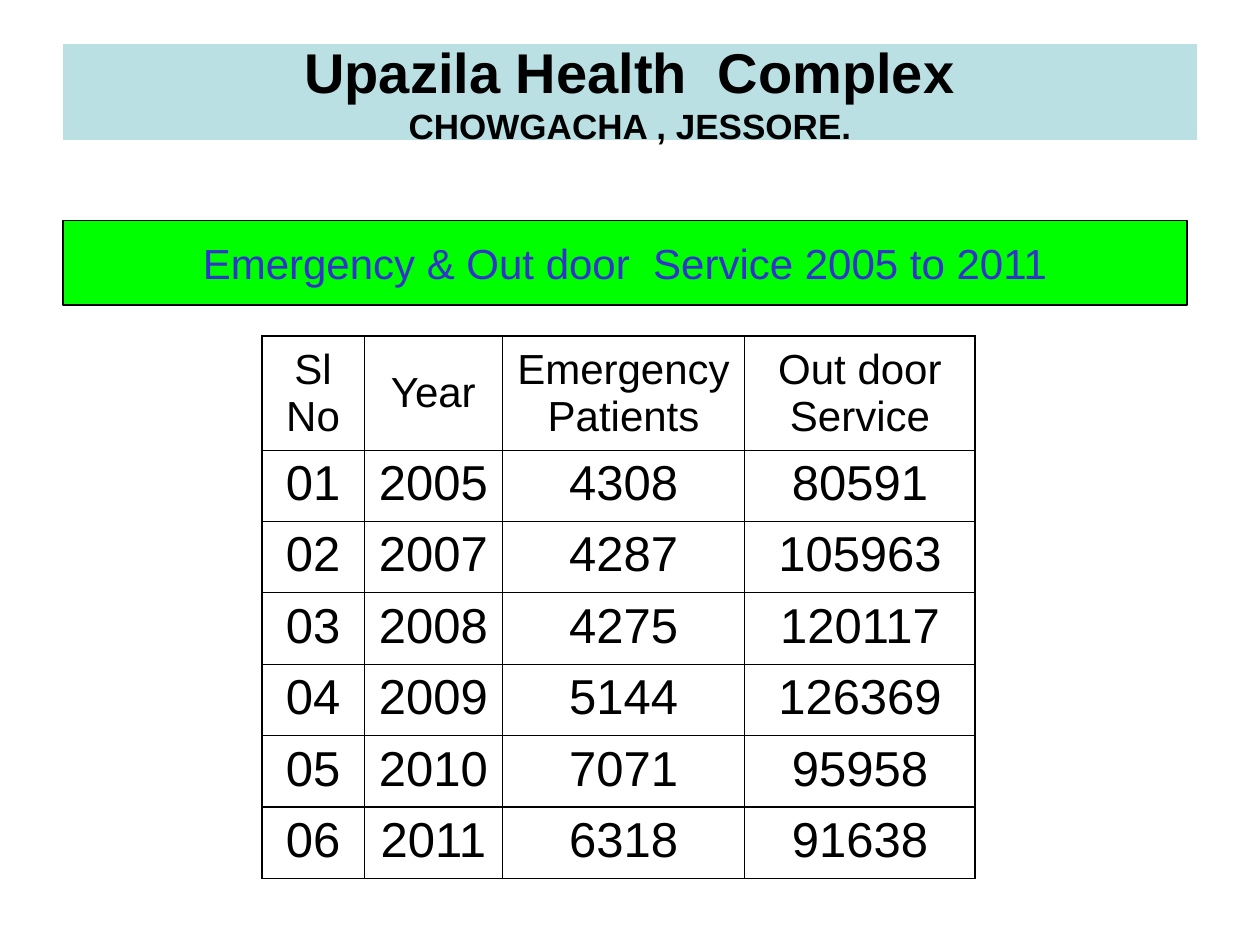
import copy
from dataclasses import dataclass

import lxml.etree
import pptx
import pptx.dml.color
import pptx.enum.shapes
import pptx.enum.text
import pptx.oxml.ns
import pptx.util
from pptx.util import Cm


@dataclass(frozen=True)
class Theme:
    font: str = "Arial"
    ink: str = "000000"
    heading_fill: str = "BBE0E3"
    banner_fill: str = "00FF00"
    banner_ink: str = "3333CC"
    heading_size: int = 32
    place_size: int = 20
    label_size: int = 24
    figure_size: int = 28
    banner_line: float = 0.75
    thin: float = 0.45
    thick: float = 1.08


@dataclass(frozen=True)
class Box:
    left: float
    top: float
    width: float
    height: float

    def lengths(self) -> tuple:
        return Cm(self.left), Cm(self.top), Cm(self.width), Cm(self.height)


@dataclass(frozen=True)
class YearRecord:
    year: int
    emergency: int
    outdoor: int


THEME = Theme()
HEADING = Box(1.27, 0.89, 22.86, 1.93)
BANNER = Box(1.27, 4.45, 22.66, 1.7)
COLUMN_WIDTHS = (2.06, 2.79, 4.88, 4.65)
LABEL_HEIGHT, RECORD_HEIGHT = 2.29, 1.44
FIRST_THICK_RULE = 5
LABELS = ("Sl No", "Year", "Emergency Patients", "Out door Service")
RECORDS = (
    YearRecord(2005, 4308, 80591),
    YearRecord(2007, 4287, 105963),
    YearRecord(2008, 4275, 120117),
    YearRecord(2009, 5144, 126369),
    YearRecord(2010, 7071, 95958),
    YearRecord(2011, 6318, 91638),
)


def rgb(color: str) -> pptx.dml.color.RGBColor:
    return pptx.dml.color.RGBColor.from_string(color)


def style_text(frame, size: float, color: str, bold: bool = False) -> None:
    for paragraph in frame.paragraphs:
        paragraph.alignment = pptx.enum.text.PP_ALIGN.CENTER
        for run in paragraph.runs:
            run.font.name = THEME.font
            run.font.size = pptx.util.Pt(size)
            run.font.bold = bold
            run.font.color.rgb = rgb(color)


def fill_solid(shape, color: str) -> None:
    shape.fill.solid()
    shape.fill.fore_color.rgb = rgb(color)


def draw_heading(slide) -> None:
    heading = slide.shapes.title
    heading.left, heading.top, heading.width, heading.height = HEADING.lengths()
    fill_solid(heading, THEME.heading_fill)
    frame = heading.text_frame
    frame.text = "Upazila Health  Complex\vCHOWGACHA , JESSORE."
    frame.auto_size = pptx.enum.text.MSO_AUTO_SIZE.NONE
    frame.vertical_anchor = pptx.enum.text.MSO_ANCHOR.MIDDLE
    style_text(frame, THEME.heading_size, THEME.ink, bold=True)
    name, place = frame.paragraphs[0].runs
    place.font.size = pptx.util.Pt(THEME.place_size)
    line_break = name._r.getnext()
    line_break.append(copy.deepcopy(name._r.rPr))


def draw_banner(slide) -> None:
    banner = slide.shapes.add_shape(
        pptx.enum.shapes.MSO_SHAPE.RECTANGLE, *BANNER.lengths()
    )
    banner.shadow.inherit = False
    fill_solid(banner, THEME.banner_fill)
    banner.line.color.rgb = rgb(THEME.ink)
    banner.line.width = pptx.util.Pt(THEME.banner_line)
    frame = banner.text_frame
    frame.text = "Emergency & Out door  Service 2005 to 2011"
    frame.word_wrap = True
    frame.vertical_anchor = pptx.enum.text.MSO_ANCHOR.MIDDLE
    style_text(frame, THEME.label_size, THEME.banner_ink)


def add_border(cell, side: str, weight: float) -> None:
    qn = pptx.oxml.ns.qn
    border = lxml.etree.SubElement(
        cell._tc.get_or_add_tcPr(), qn(f"a:ln{side}"), w=str(pptx.util.Pt(weight))
    )
    solid = lxml.etree.SubElement(border, qn("a:solidFill"))
    lxml.etree.SubElement(solid, qn("a:srgbClr"), val=THEME.ink)


def row_rule(position: int) -> float:
    return THEME.thick if position == 0 or position >= FIRST_THICK_RULE else THEME.thin


def column_rule(position: int) -> float:
    return THEME.thick if position in (0, len(LABELS)) else THEME.thin


def draw_services(slide) -> None:
    rows = [LABELS] + [
        (f"{serial:02}", str(record.year), str(record.emergency), str(record.outdoor))
        for serial, record in enumerate(RECORDS, start=1)
    ]
    heights = [LABEL_HEIGHT] + [RECORD_HEIGHT] * len(RECORDS)
    area = Box(5.28, 6.78, sum(COLUMN_WIDTHS), sum(heights))
    services = slide.shapes.add_table(len(rows), len(LABELS), *area.lengths()).table
    services.first_row = services.horz_banding = False
    for column, width in zip(services.columns, COLUMN_WIDTHS):
        column.width = Cm(width)
    for row, height in zip(services.rows, heights):
        row.height = Cm(height)
    anchors = pptx.enum.text.MSO_ANCHOR
    for r, entries in enumerate(rows):
        for c, entry in enumerate(entries):
            cell = services.cell(r, c)
            cell.text_frame.text = entry
            cell.vertical_anchor = anchors.TOP if r else anchors.MIDDLE
            size = THEME.figure_size if r else THEME.label_size
            style_text(cell.text_frame, size, THEME.ink)
            add_border(cell, "L", column_rule(c))
            add_border(cell, "R", column_rule(c + 1))
            add_border(cell, "T", row_rule(r))
            add_border(cell, "B", row_rule(r + 1))
            cell.fill.background()


def main() -> None:
    deck = pptx.Presentation()
    deck.slide_width, deck.slide_height = Cm(25.4), Cm(19.05)
    slide = deck.slides.add_slide(deck.slide_layouts.get_by_name("Title Only"))
    draw_heading(slide)
    draw_services(slide)
    draw_banner(slide)
    deck.save("out.pptx")


if __name__ == "__main__":
    main()
